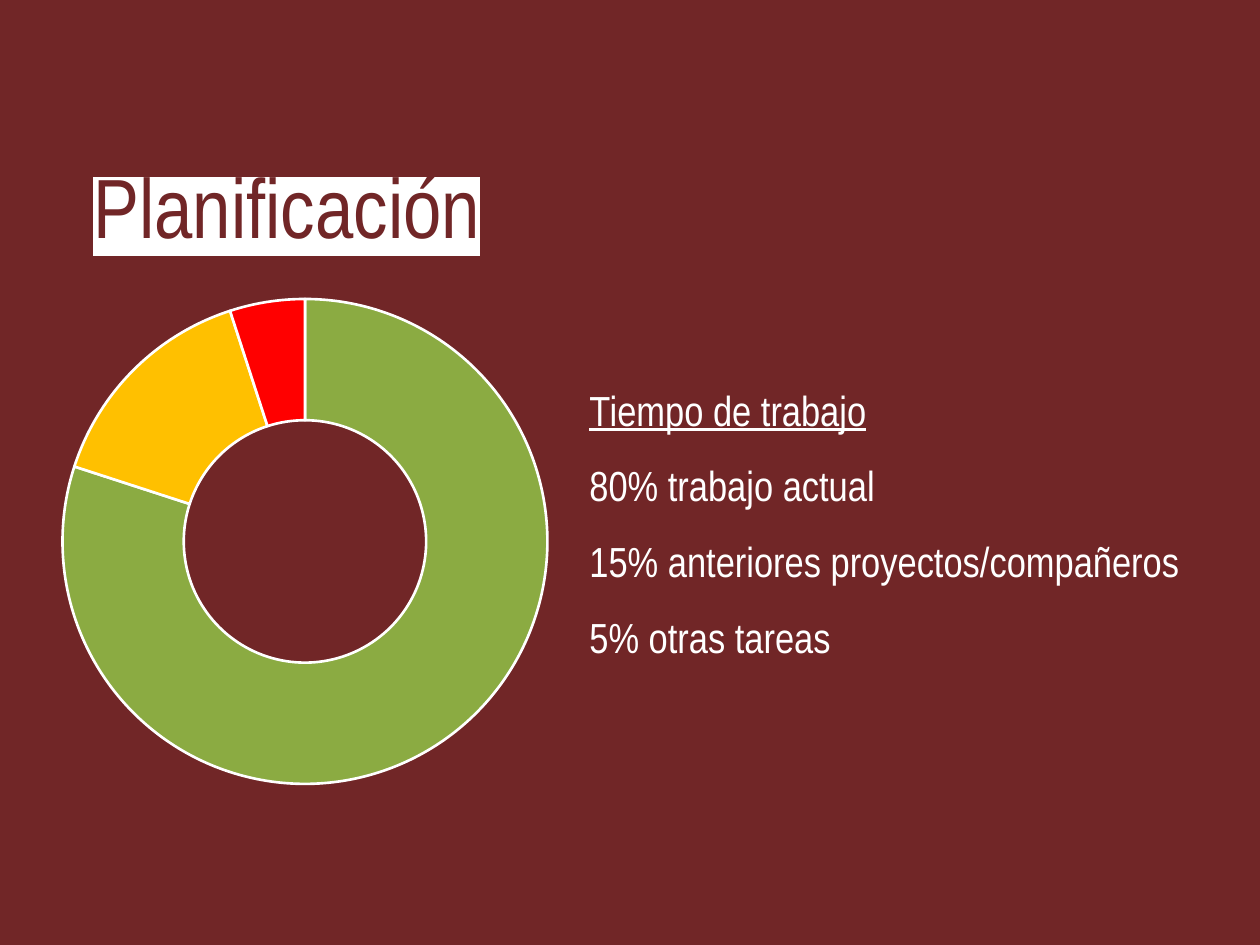
from lxml import etree
from pptx import Presentation
from pptx import util as u
from pptx.chart.data import CategoryChartData
from pptx.dml.color import RGBColor
from pptx.enum import chart as ch, text
from pptx.oxml.ns import qn

PX = 914400 // 126
COLORS = {"wine": "712627", "white": "FFFFFF", "black": "000000",
          "green": "8BAB42", "amber": "FFC000", "red": "FF0000"}
FONT = "Arial Narrow"
SHARES = [(80, "green"), (15, "amber"), (5, "red")]
LINES = ["Tiempo de trabajo", "80% trabajo actual",
         "15% anteriores proyectos/compañeros", "5% otras tareas"]


def px(*lengths):
    return [u.Emu(n * PX) for n in lengths]


def rgb(name):
    return RGBColor.from_string(COLORS[name])


def set_attrs(obj, **values):
    for name, value in values.items():
        setattr(obj, name, value)


def add_run(p, words, size, color, **fmt):
    r = p.add_run()
    r.text = words
    set_attrs(r.font, size=u.Pt(size), name=FONT, **fmt)
    r.font.color.rgb = rgb(color)
    return r


def add_title(s, box):
    tf = s.shapes.add_textbox(*px(*box)).text_frame
    inset = u.Inches(0.1)
    set_attrs(tf, word_wrap=True, vertical_anchor=text.MSO_ANCHOR.BOTTOM,
              margin_left=inset, margin_right=inset,
              margin_top=inset, margin_bottom=inset)
    r = add_run(tf.paragraphs[0], "Planificación", 48, "wine")
    # White highlight, which precedes the typeface in the run properties
    rPr = r.font._element
    hl = etree.Element(qn("a:highlight"))
    etree.SubElement(hl, qn("a:srgbClr"), val=COLORS["white"])
    rPr.find(qn("a:latin")).addprevious(hl)


def add_doughnut(s, box):
    data = CategoryChartData()
    data.categories = [str(i + 1) for i in range(len(SHARES))]
    data.add_series("Series 1", [value for value, _ in SHARES])
    chart = s.shapes.add_chart(ch.XL_CHART_TYPE.DOUGHNUT, *px(*box), data).chart
    set_attrs(chart, has_legend=False, has_title=False)
    set_attrs(chart.font, size=u.Pt(10), name="Arial")
    chart.font.color.rgb = rgb("black")
    plot = chart.plots[0]
    plot.vary_by_categories = True
    for i, (_, color) in enumerate(SHARES):
        fmt = plot.series[0].points[i].format
        fmt.fill.solid()
        fmt.fill.fore_color.rgb = rgb(color)
        fmt.line.color.rgb = rgb("white")
        fmt.line.width = u.Pt(1.5)
    plot._element.find(qn("c:holeSize")).set("val", "75")

    # Ring centred in the chart box
    area = chart._chartSpace.chart.plotArea
    layout = area.find(qn("c:layout"))
    if layout is None:
        layout = etree.Element(qn("c:layout"))
        area.insert(0, layout)
    manual = etree.SubElement(layout, qn("c:manualLayout"))
    diameter, (_, _, w, h) = 485, box
    for tag, val in (("layoutTarget", "inner"), ("xMode", "edge"), ("yMode", "edge"),
                     ("x", (1 - diameter / w) / 2), ("y", (1 - diameter / h) / 2),
                     ("w", diameter / w), ("h", diameter / h)):
        etree.SubElement(manual, qn("c:" + tag), val=str(val))


def add_breakdown(s, box):
    tf = s.shapes.add_textbox(*px(*box)).text_frame
    set_attrs(tf, word_wrap=True, auto_size=text.MSO_AUTO_SIZE.SHAPE_TO_FIT_TEXT)
    for i, line in enumerate(LINES):
        p = tf.add_paragraph() if i else tf.paragraphs[0]
        p.line_spacing = 1.5
        add_run(p, line, 24, "white", underline=i == 0)


def main():
    prs = Presentation()
    set_attrs(prs, slide_width=u.Inches(10), slide_height=u.Inches(7.5))
    s = prs.slides.add_slide(prs.slide_layouts[6])
    s.background.fill.solid()
    s.background.fill.fore_color.rgb = rgb("wine")
    add_breakdown(s, (577, 353, 650, 318))
    add_doughnut(s, (33, 282, 544, 519))
    add_title(s, (81, 103, 425, 165))
    prs.save("out.pptx")


if __name__ == "__main__":
    main()
